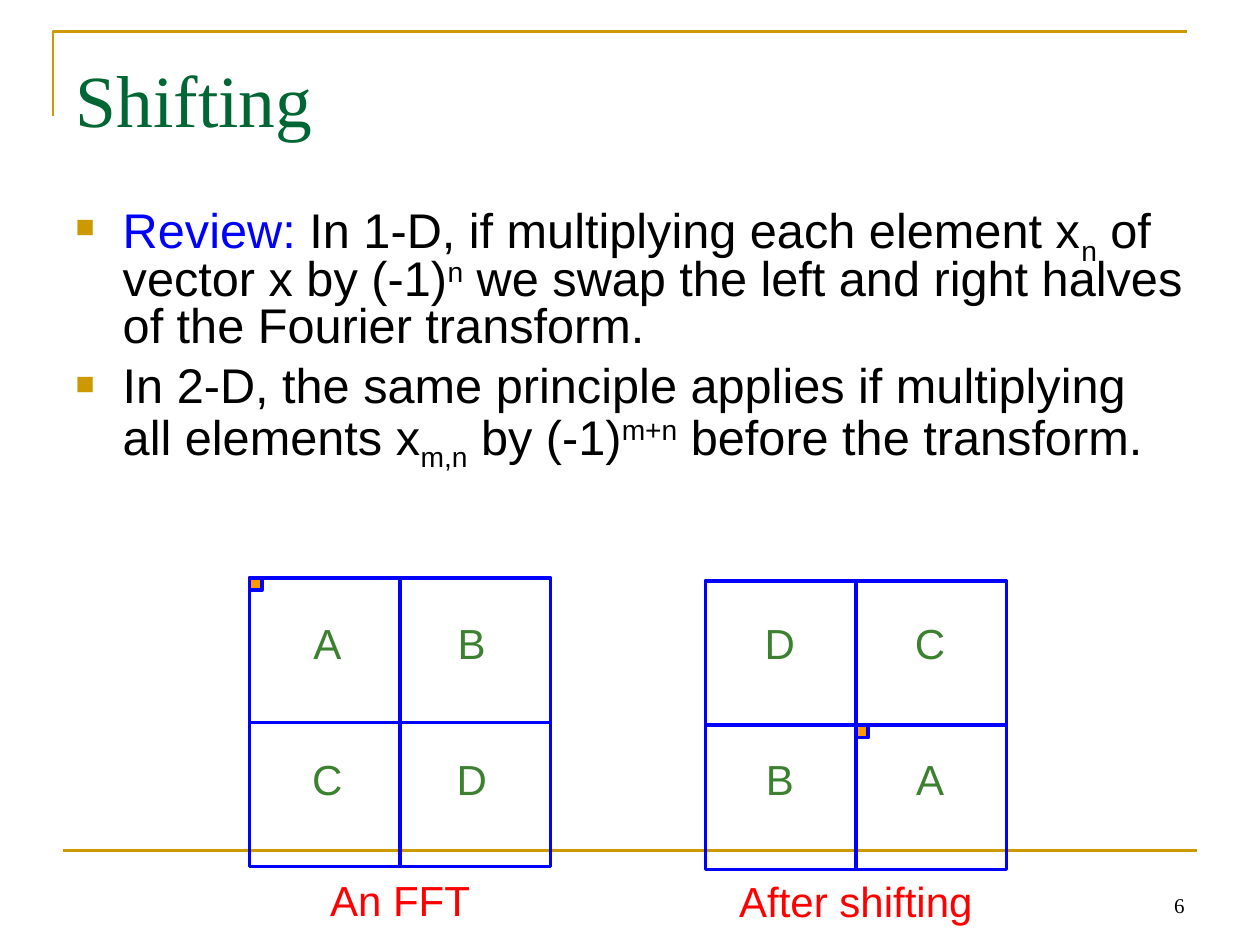
from dataclasses import dataclass

from lxml import etree
from pptx import Presentation
from pptx.dml.color import RGBColor
from pptx.enum.shapes import MSO_CONNECTOR, MSO_SHAPE
from pptx.enum.text import MSO_ANCHOR, MSO_AUTO_SIZE, PP_ALIGN
from pptx.oxml.ns import qn
from pptx.util import Cm, Pt

STRAIGHT = MSO_CONNECTOR.STRAIGHT
RECTANGLE = MSO_SHAPE.RECTANGLE
TOP, BOTTOM = MSO_ANCHOR.TOP, MSO_ANCHOR.BOTTOM
NO_FIT = MSO_AUTO_SIZE.NONE
LEFT, CENTER, RIGHT = PP_ALIGN.LEFT, PP_ALIGN.CENTER, PP_ALIGN.RIGHT

GOLD, BLUE, ORANGE = "CC9900", "0000FF", "FF9900"
DARK_GREEN, GREEN, RED, BLACK = "006633", "3B812F", "FF0000", "000000"
SANS, SERIF = "Arial", "Times New Roman"
SUBSCRIPT, SUPERSCRIPT = -25, 30

# Square geometry in centimetres
SIDE, HEIGHT, MARKER = 6.07, 5.82, 0.25
LABEL_WIDTH, LABEL_HEIGHT = 1.12, 1.07
LABEL_ROWS = (12.52, 15.27)


@dataclass
class TextPart:
    text: str
    color: str = BLACK
    baseline: int = 0


@dataclass
class Square:
    left: float
    top: float
    quadrants: tuple[str, str, str, str]
    column_centers: tuple[float, float]
    marker_offset: tuple[float, float]
    caption: str
    caption_top: float


BULLETS = [
    [TextPart("Review:", BLUE),
     TextPart(" In 1-D, if multiplying each element x"),
     TextPart("n", baseline=SUBSCRIPT),
     TextPart(" of vector x by (-1)"),
     TextPart("n", baseline=SUPERSCRIPT),
     TextPart(" we swap the left and right halves of the Fourier transform.")],
    [TextPart("In 2-D, the same principle applies if multiplying all elements x"),
     TextPart("m,n", baseline=SUBSCRIPT),
     TextPart(" by (-1)"),
     TextPart("m+n", baseline=SUPERSCRIPT),
     TextPart(" before the transform.")],
]

SQUARES = [
    Square(5.03, 11.65, ("A", "B", "C", "D"), (6.6, 9.51), (0, 0),
           "An FFT", 17.7),
    Square(14.22, 11.71, ("D", "C", "B", "A"), (15.72, 18.75),
           (SIDE / 2, HEIGHT / 2), "After shifting", 17.73),
]


def rgb(color: str) -> RGBColor:
    return RGBColor.from_string(color)


def format_font(font, size: float, name: str, color: str) -> None:
    font.size, font.name = Pt(size), name
    font.color.rgb = rgb(color)


def place(shape, left: float, top: float, width: float, height: float) -> None:
    shape.left, shape.top = Cm(left), Cm(top)
    shape.width, shape.height = Cm(width), Cm(height)


def set_line(shape, color: str, width: float) -> None:
    shape.line.color.rgb = rgb(color)
    shape.line.width = Pt(width)


def add_line(slide, start: tuple, end: tuple, color: str, width: float):
    connector = slide.shapes.add_connector(
        STRAIGHT, Cm(start[0]), Cm(start[1]), Cm(end[0]), Cm(end[1]))
    set_line(connector, color, width)
    etree.SubElement(connector._element.spPr, qn("a:effectLst"))
    return connector


def add_box(slide, left: float, top: float, width: float, height: float,
            fill: str | None = None):
    box = slide.shapes.add_shape(
        RECTANGLE, Cm(left), Cm(top), Cm(width), Cm(height))
    box.shadow.inherit = False
    if fill:
        box.fill.solid()
        box.fill.fore_color.rgb = rgb(fill)
    else:
        box.fill.background()
    set_line(box, BLUE, 2)
    return box


def add_label(slide, text: str, center: float, top: float, width: float,
              color: str) -> None:
    label = slide.shapes.add_textbox(
        Cm(center - width / 2), Cm(top), Cm(width), Cm(LABEL_HEIGHT))
    label.text_frame.word_wrap = False
    label.text_frame.text = text
    paragraph = label.text_frame.paragraphs[0]
    paragraph.alignment = CENTER
    paragraph.line_spacing = 0.8
    format_font(paragraph.runs[0].font, 24, SANS, color)


def add_bullet(paragraph, parts: list[TextPart]) -> None:
    properties = paragraph._p.get_or_add_pPr()
    properties.set("marL", str(Cm(0.95)))
    properties.set("indent", str(-Cm(0.95)))
    bullet_color = etree.SubElement(properties, qn("a:buClr"))
    etree.SubElement(bullet_color, qn("a:srgbClr"), val=GOLD)
    etree.SubElement(properties, qn("a:buSzPct"), val="65000")
    etree.SubElement(properties, qn("a:buChar"), char="■")
    paragraph.line_spacing = 0.8
    for part in parts:
        run = paragraph.add_run()
        run.text = part.text
        format_font(run.font, 27.8, SANS, part.color)
        if part.baseline:
            run._r.get_or_add_rPr().set("baseline", str(part.baseline * 1000))


def add_square(slide, square: Square) -> None:
    left, top = square.left, square.top
    middle_x, middle_y = left + SIDE / 2, top + HEIGHT / 2
    outline = add_box(slide, left, top, SIDE, HEIGHT)
    dividers = [((left, middle_y), (left + SIDE, middle_y), 1, 3),
                ((middle_x, top), (middle_x, top + HEIGHT), 0, 2)]
    for start, end, start_site, end_site in dividers:
        divider = add_line(slide, start, end, BLUE, 2)
        divider.begin_connect(outline, start_site)
        divider.end_connect(outline, end_site)
    for index, letter in enumerate(square.quadrants):
        row, column = divmod(index, 2)
        add_label(slide, letter, square.column_centers[column],
                  LABEL_ROWS[row], LABEL_WIDTH, GREEN)
    offset_x, offset_y = square.marker_offset
    add_box(slide, left + offset_x, top + offset_y, MARKER, MARKER, ORANGE)
    caption_width = 3.33 if len(square.caption) < 10 else 5.21
    add_label(slide, square.caption, middle_x, square.caption_top,
              caption_width, RED)


def main() -> None:
    presentation = Presentation()
    presentation.slide_width, presentation.slide_height = Cm(25.4), Cm(19.05)
    slide = presentation.slides.add_slide(presentation.slide_layouts[1])

    # Corner frame and footer rule
    builder = slide.shapes.build_freeform(Cm(1.07), Cm(2.34))
    builder.add_line_segments(
        [(Cm(1.07), Cm(0.64)), (Cm(23.93), Cm(0.64))], close=False)
    frame = builder.convert_to_shape()
    frame.shadow.inherit = False
    frame.fill.background()
    set_line(frame, GOLD, 1.5)
    add_line(slide, (1.27, 17.15), (24.13, 17.15), GOLD, 1.5)

    # Slide number
    number = slide.shapes.add_textbox(Cm(18.2), Cm(17.36), Cm(5.93), Cm(1.27))
    number.text_frame.word_wrap = True
    number.text_frame.vertical_anchor = BOTTOM
    number.text_frame.text = "6"
    paragraph = number.text_frame.paragraphs[0]
    paragraph.alignment = RIGHT
    format_font(paragraph.runs[0].font, 12, SERIF, BLACK)

    # Title and bullets
    title, body = slide.shapes.title, slide.placeholders[1]
    place(title, 1.27, 0.76, 22.86, 3.18)
    place(body, 1.27, 3.86, 22.86, 6.65)
    for placeholder, margin in ((title, 0.33), (body, 0.3)):
        placeholder.text_frame.auto_size = NO_FIT
        placeholder.text_frame.vertical_anchor = TOP
        placeholder.text_frame.margin_top = Cm(margin)
    title.text_frame.text = "Shifting"
    paragraph = title.text_frame.paragraphs[0]
    paragraph.alignment = LEFT
    format_font(paragraph.runs[0].font, 42, SERIF, DARK_GREEN)
    for index, parts in enumerate(BULLETS):
        paragraph = (body.text_frame.add_paragraph() if index
                     else body.text_frame.paragraphs[0])
        add_bullet(paragraph, parts)
        paragraph.space_before = Pt(7.5 if index else 0)

    # Quadrant diagrams
    for square in SQUARES:
        add_square(slide, square)

    presentation.save("out.pptx")


if __name__ == "__main__":
    main()
